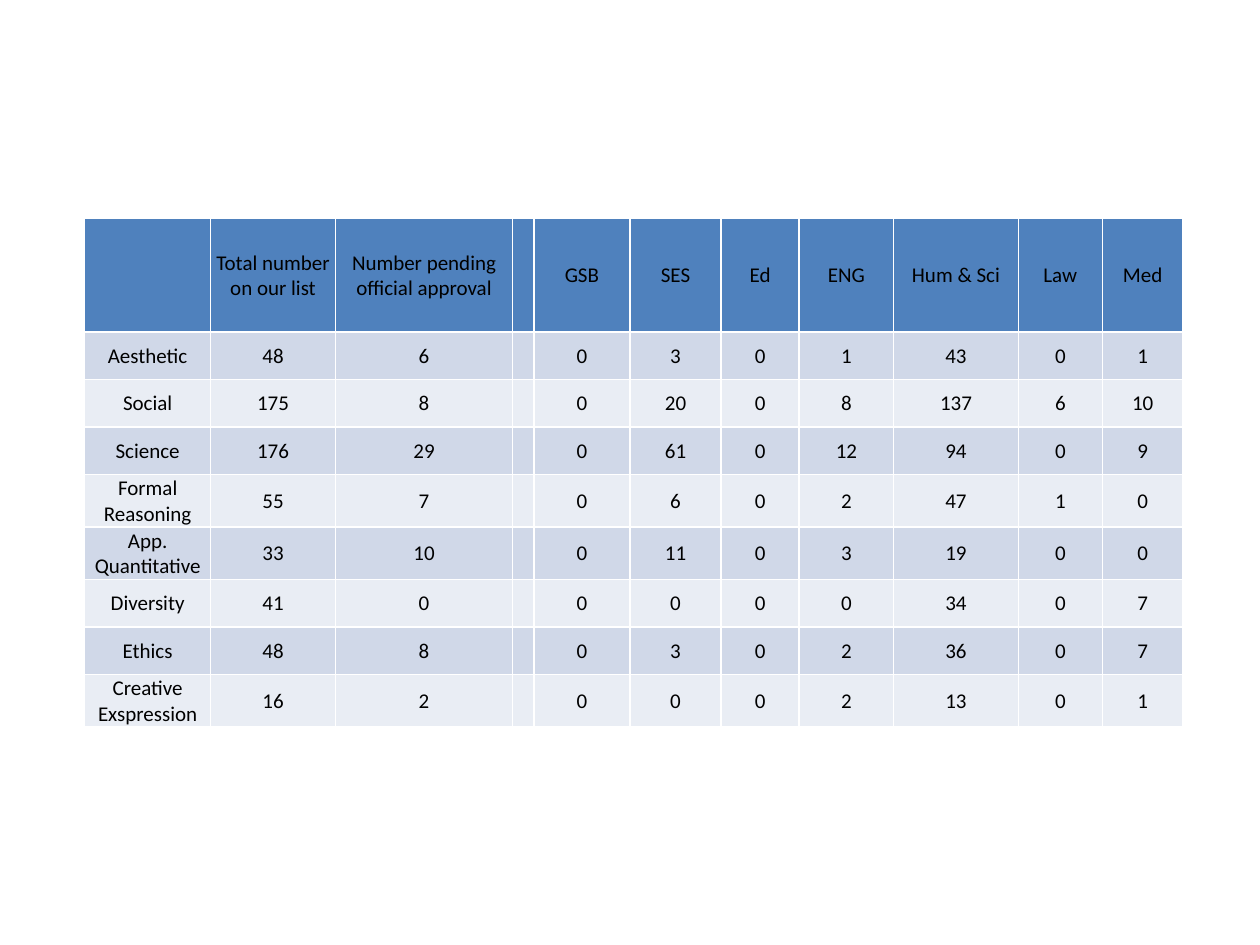
from pptx import Presentation
from pptx.dml.color import RGBColor as RGB
from pptx.enum.text import MSO_ANCHOR as Anchor, PP_ALIGN as Align
from pptx.util import Pt

HEAD, BANDS = "4F81BD", ("E9EDF4", "D0D8E8")
WIDTHS = [72, 71.3, 101.3, 12.1, 55, 52, 44.7, 54, 71.2, 48.1, 46]
HEAD_H, ROW_H = 64.8, 27.2
ROWS = [
    ["", "Total number on our list", "Number pending official approval", "",
     "GSB", "SES", "Ed", "ENG", "Hum & Sci", "Law", "Med"],
    ["Aesthetic", 48, 6, "", 0, 3, 0, 1, 43, 0, 1],
    ["Social", 175, 8, "", 0, 20, 0, 8, 137, 6, 10],
    ["Science", 176, 29, "", 0, 61, 0, 12, 94, 0, 9],
    ["Formal Reasoning", 55, 7, "", 0, 6, 0, 2, 47, 1, 0],
    ["App. Quantitative", 33, 10, "", 0, 11, 0, 3, 19, 0, 0],
    ["Diversity", 41, 0, "", 0, 0, 0, 0, 34, 0, 7],
    ["Ethics", 48, 8, "", 0, 3, 0, 2, 36, 0, 7],
    ["Creative Exspression", 16, 2, "", 0, 0, 0, 2, 13, 0, 1],
]
CELL = {"vertical_anchor": Anchor.MIDDLE, "margin_left": Pt(0.7),
        "margin_top": Pt(0.7), "margin_right": Pt(0.7), "margin_bottom": Pt(0)}
FONT = {"name": "Calibri", "size": Pt(12), "bold": False}


def color(code):
    return RGB.from_string(code)


deck = Presentation()
deck.slide_width, deck.slide_height = Pt(720), Pt(540)
slide = deck.slides.add_slide(deck.slide_layouts[6])

height = HEAD_H + ROW_H * (len(ROWS) - 1)
frame = slide.shapes.add_table(len(ROWS), len(WIDTHS), Pt(48.4), Pt(124.8),
                               Pt(sum(WIDTHS)), Pt(height))
table = frame.table
for col, width in zip(table.columns, WIDTHS):
    col.width = Pt(width)

# The default table style draws the white rules, thicker under the header.
for i, row in enumerate(ROWS):
    table.rows[i].height = Pt(ROW_H if i else HEAD_H)
    for j, value in enumerate(row):
        cell = table.cell(i, j)
        for key, val in CELL.items():
            setattr(cell, key, val)
        cell.fill.solid()
        cell.fill.fore_color.rgb = color(BANDS[i % 2] if i else HEAD)
        if value == "":
            continue
        para = cell.text_frame.paragraphs[0]
        para.alignment = Align.CENTER
        run = para.add_run()
        run.text = str(value)
        for key, val in FONT.items():
            setattr(run.font, key, val)
        run.font.color.rgb = color("000000")

deck.save("out.pptx")
